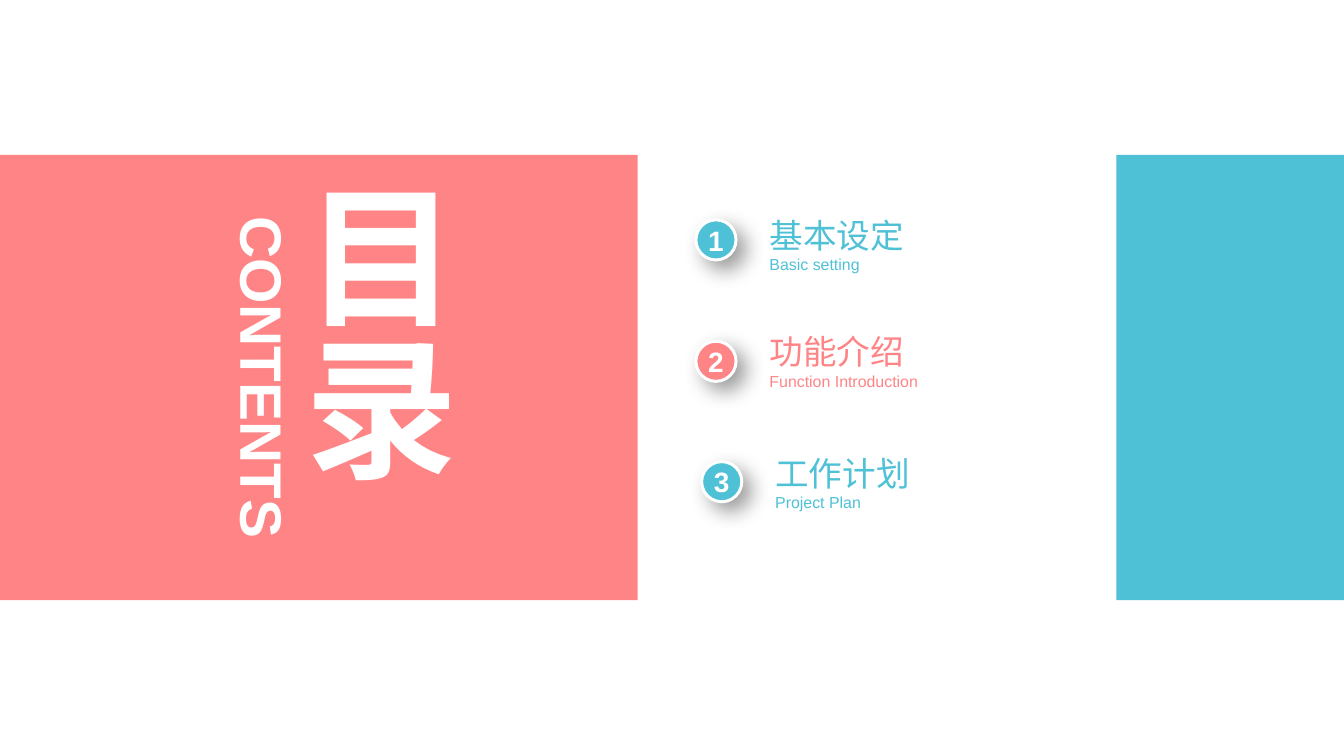
from lxml import etree
from pptx import Presentation
from pptx.dml.color import RGBColor
from pptx.enum.shapes import MSO_SHAPE as SHAPE
from pptx.enum.text import MSO_ANCHOR as ANCHOR, MSO_AUTO_SIZE as AUTO, PP_ALIGN as ALIGN
from pptx.oxml import parse_xml
from pptx.oxml.ns import nsdecls
from pptx.util import Inches, Pt

CORAL, TEAL, WHITE = "FF8486", "4EC1D6", "FFFFFF"
BAND_TOP, BAND_HEIGHT = 1.62, 4.66
BADGE_SIZE = 0.42
LABEL_GAP = 0.77  # from badge left to label left

# number, Chinese name, English name, colour, badge left, badge top, label top
ITEMS = [
    ("1", "基本设定", "Basic setting", TEAL, 7.28, 2.3, 2.24),
    ("2", "功能介绍", "Function Introduction", CORAL, 7.28, 3.57, 3.46),
    ("3", "工作计划", "Project Plan", TEAL, 7.34, 4.83, 4.73),
]


def rgb(value):
    """Turn a hex string into a colour."""
    return RGBColor.from_string(value)


def place(sp, left, top, width, height):
    """Move and size a shape, in inches."""
    sp.left, sp.top = Inches(left), Inches(top)
    sp.width, sp.height = Inches(width), Inches(height)


def write(sp, lines, color, bold=False, align=ALIGN.LEFT, anchor=ANCHOR.MIDDLE):
    """Fill a shape with (text, size) lines, without margins."""
    tf = sp.text_frame
    tf.word_wrap = True
    tf.auto_size = AUTO.NONE
    tf.vertical_anchor = anchor
    tf.margin_left = tf.margin_top = tf.margin_right = tf.margin_bottom = 0
    tf.text = "\n".join(text for text, _ in lines)
    for p, (_, size) in zip(tf.paragraphs, lines):
        p.alignment = align
        p.font.name, p.font.size, p.font.bold = "Arial", Pt(size), bold
        p.font.color.rgb = rgb(color)


def add_filled(s, kind, box, color):
    """Add a preset shape with a plain fill and no line or shadow."""
    sp = s.shapes.add_shape(kind, *map(Inches, box))
    sp.shadow.inherit = False
    sp.fill.solid()
    sp.fill.fore_color.rgb = rgb(color)
    sp.line.fill.background()
    return sp


def add_text(s, box, lines, color, **style):
    """Add a text box."""
    sp = s.shapes.add_textbox(*map(Inches, box))
    write(sp, lines, color, **style)
    return sp


def add_soft_shadow(sp):
    """Give a shape a soft shadow towards the lower right."""
    effects = sp._element.spPr.find("{*}effectLst")
    effects.append(parse_xml(
        f'<a:outerShdw {nsdecls("a")} blurRad="{Pt(16)}" dist="{Pt(9)}" '
        'dir="2700000" algn="tl" rotWithShape="0">'
        '<a:srgbClr val="000000"><a:alpha val="40000"/></a:srgbClr></a:outerShdw>'))


def add_item(s, number, name, english, color, left, badge_top, label_top):
    """Add a numbered badge with its two-line label."""
    badge = add_filled(s, SHAPE.OVAL, (left, badge_top, BADGE_SIZE, BADGE_SIZE), color)
    badge.line.color.rgb = rgb(WHITE)
    badge.line.width = Pt(2.25)
    add_soft_shadow(badge)
    write(badge, [(number, 21.1)], WHITE, bold=True, align=ALIGN.CENTER)
    badge.text_frame.word_wrap = False
    add_text(s, (left + LABEL_GAP, label_top, 2.7, 0.63),
             [(name, 25.3), (english, 12)], color)


def set_title(s, text):
    """Set the title in vertical writing, in front of the panels."""
    title = s.shapes.title
    place(title, 2.97, 1.88, 1.94, 4.15)
    write(title, [(text, 115)], WHITE, bold=True)
    title.text_frame._txBody.bodyPr.set("vert", "eaVert")
    s.shapes._spTree.append(title._element)


def main():
    """Build the contents slide."""
    prs = Presentation()
    prs.slide_width, prs.slide_height = Inches(14.06), Inches(7.91)
    s = prs.slides.add_slide(prs.slide_layouts[5])
    for left, right, color in ((0, 6.67, CORAL), (11.68, 14.06, TEAL)):
        add_filled(s, SHAPE.RECTANGLE, (left, BAND_TOP, right - left, BAND_HEIGHT), color)
    for item in ITEMS:
        add_item(s, *item)
    set_title(s, "目录")
    contents = add_text(s, (0.95, 3.58, 3.61, 0.74), [("CONTENTS", 44)], WHITE,
                        bold=True, align=ALIGN.CENTER, anchor=ANCHOR.TOP)
    contents.rotation = 90
    prs.save("out.pptx")


main()
